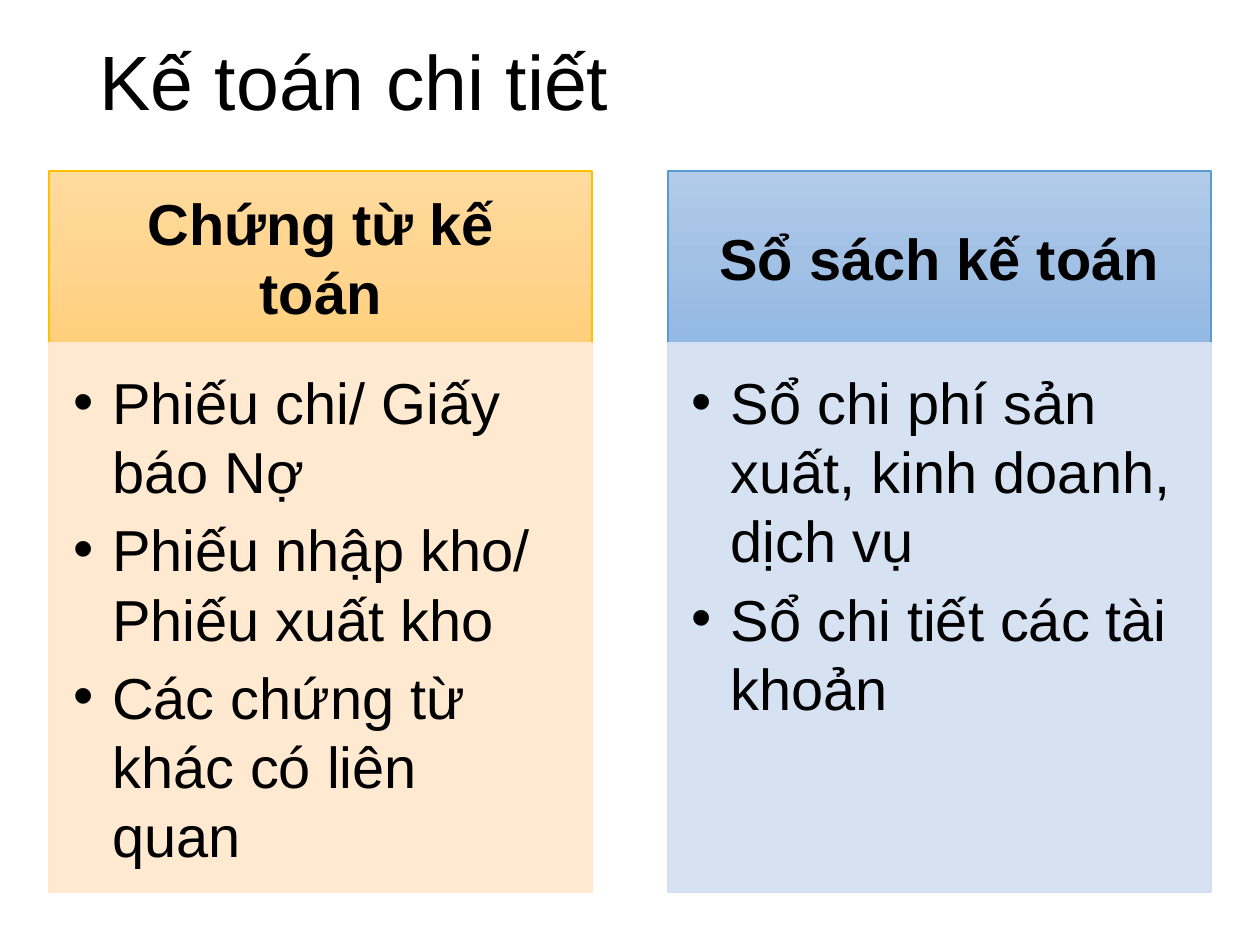
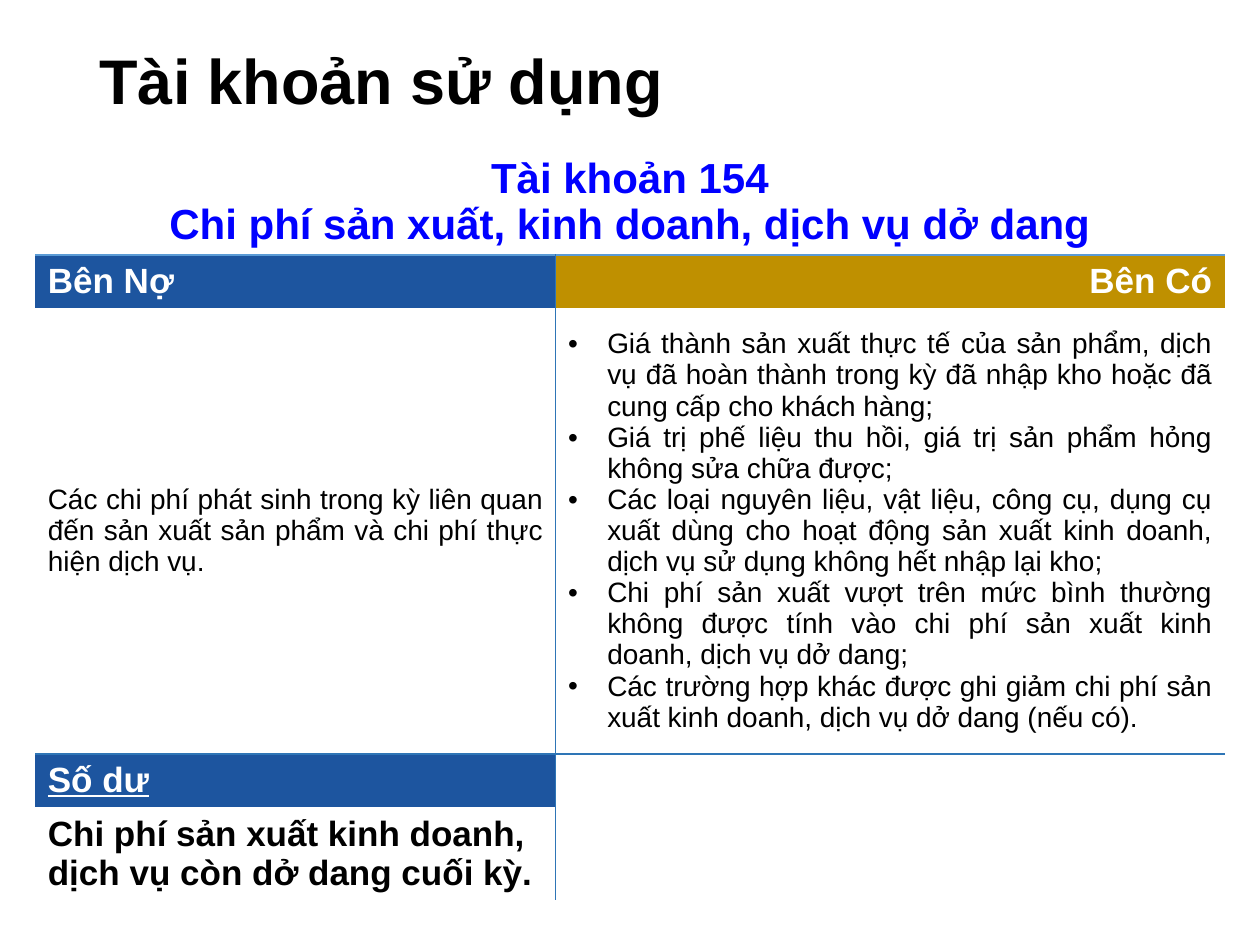
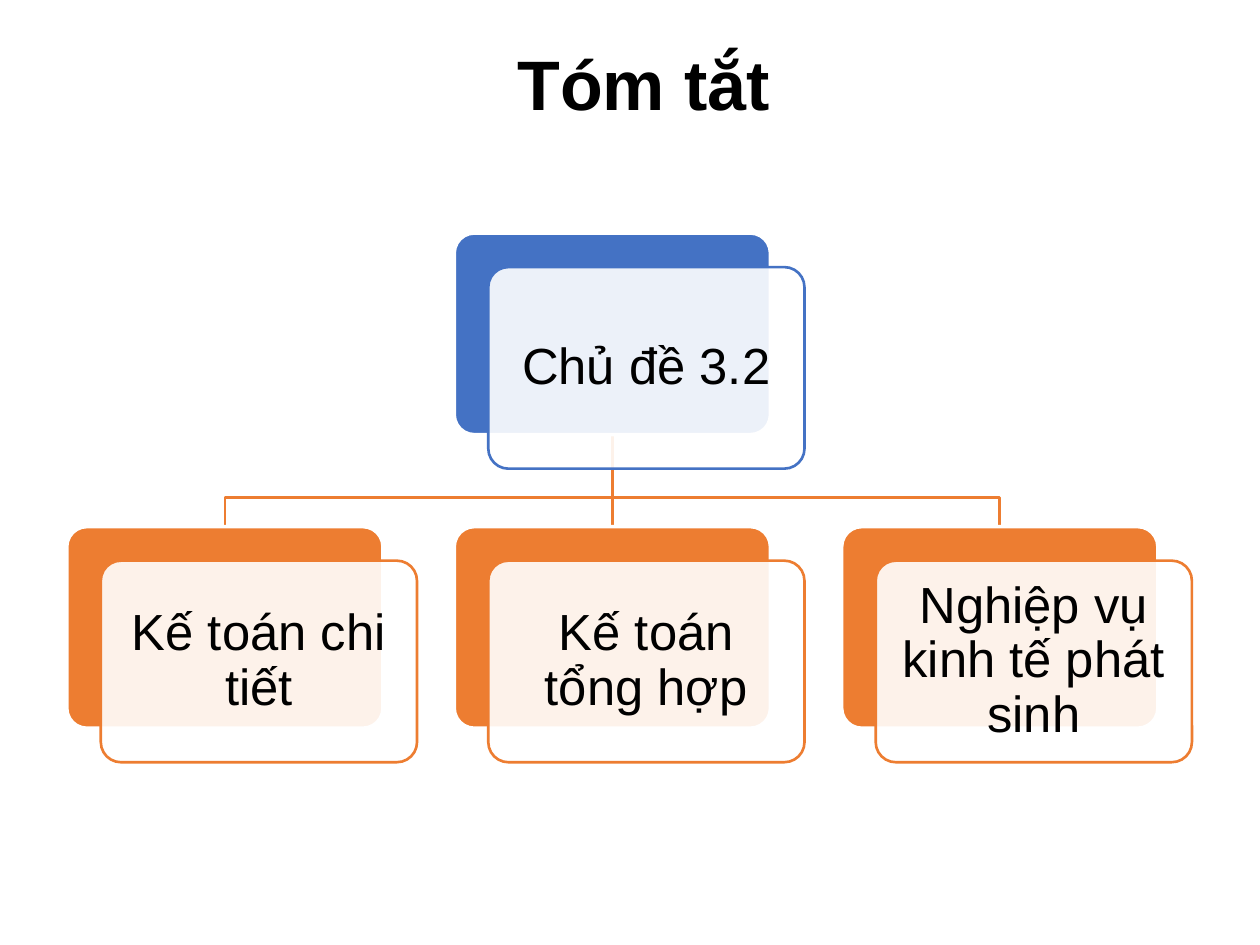
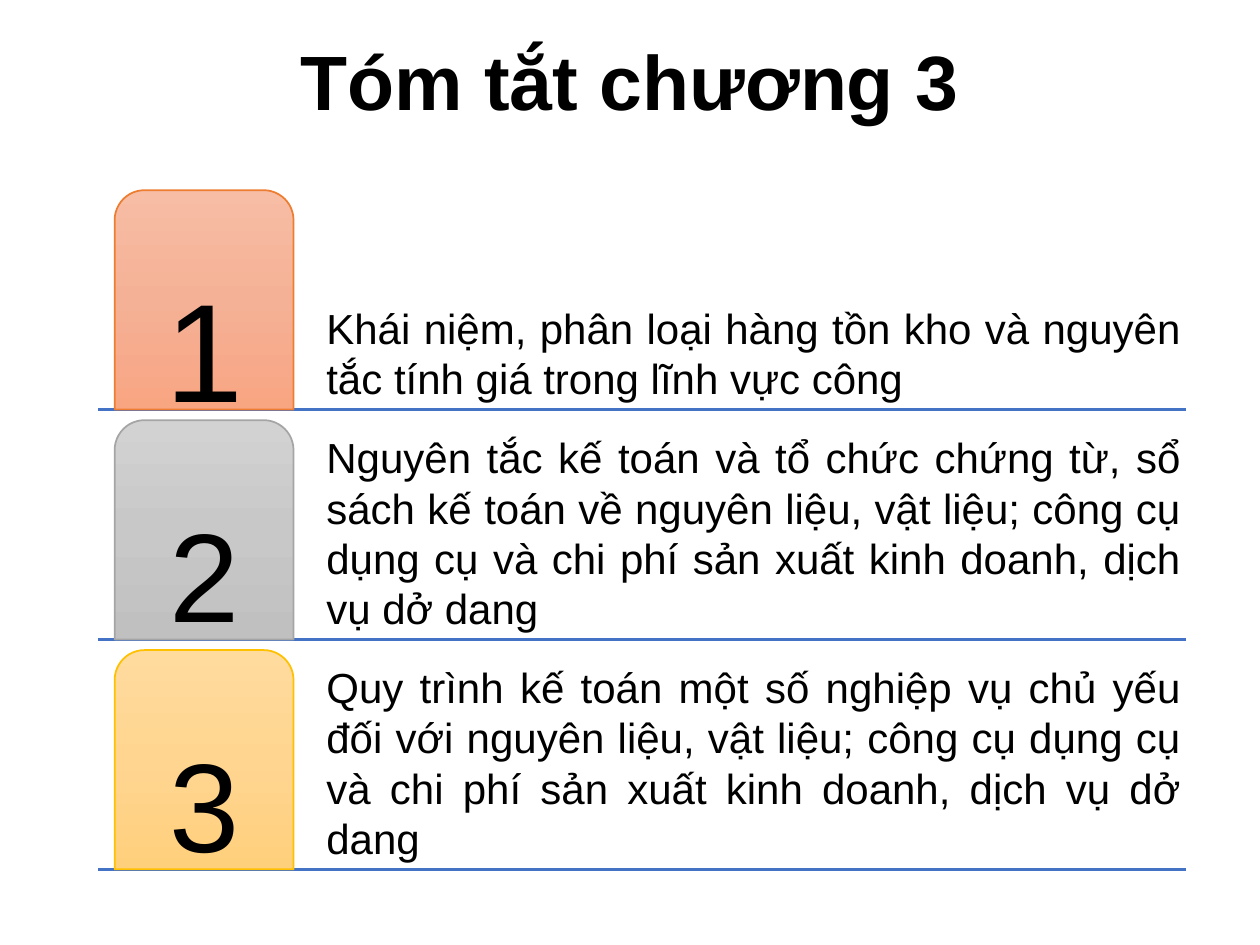
from copy import deepcopy

from pptx import Presentation
from pptx.dml.color import RGBColor
from pptx.enum.shapes import MSO_CONNECTOR as Line, MSO_SHAPE as Shape
from pptx.enum.text import MSO_ANCHOR as Anchor, MSO_AUTO_SIZE as AutoSize, PP_ALIGN as Align
from pptx.oxml.ns import qn
from pptx.oxml.xmlchemy import OxmlElement
from pptx.util import Inches, Pt

COLORS = {
    "black": "000000", "white": "FFFFFF", "blue": "4472C4", "orange": "ED7D31",
    "gray": "A5A5A5", "gold": "FFC000", "sky": "5B9BD5", "cream": "FFE8CC",
    "pale": "D2DFF0", "heading": "0000FF", "debit": "1D559F", "credit": "BF9000",
    "rule": "2E75B6",
}
GRADIENTS = {
    "gold": ["FFDB9E", "FFD590", "FFD07C"],
    "sky": ["B1CBE9", "A3C1E5", "93B9E4"],
    "orange": ["F7BDA5", "F5B196", "F8A582"],
    "gray": ["D2D2D2", "C8C8C8", "C0C0C0"],
}


def rgb(name):
    return RGBColor.from_string(COLORS[name])


def add_child(parent, tag, **attributes):
    child = OxmlElement(tag)
    for key, value in attributes.items():
        child.set(key, str(value))
    parent.append(child)
    return child


class Slides:
    font = "Arial"
    indent = 0.31

    def __init__(self):
        self.deck = Presentation()
        self.deck.slide_width, self.deck.slide_height = Inches(10), Inches(7.5)
        self.page = None

    def new_page(self, title, area=(0.69, 0.15, 8.62, 1.06), size=44, bold=True, align=Align.CENTER):
        self.page = self.deck.slides.add_slide(self.deck.slide_layouts[5])
        box = self.page.shapes.title
        box.left, box.top, box.width, box.height = map(Inches, area)
        self.set_text(box.text_frame, [title], size, bold=bold, align=align, spacing=0.9)

    def set_text(self, frame, lines, size, anchor=Anchor.MIDDLE, insets=None, **style):
        frame.word_wrap = True
        frame.auto_size = AutoSize.NONE
        frame.vertical_anchor = anchor
        if insets:
            (frame.margin_left, frame.margin_top,
             frame.margin_right, frame.margin_bottom) = map(Inches, insets)
        self.fill_paragraphs(frame, lines, size, **style)

    def fill_paragraphs(self, frame, lines, size, color="black", bold=False, underline=False,
                        align=Align.LEFT, spacing=None, after=0, bullets=False):
        frame.text = "\n".join(lines)
        for para in frame.paragraphs:
            para.alignment = align
            if spacing:
                para.line_spacing = spacing
            if after:
                para.space_after = Pt(after)
            if bullets:
                props = para._p.get_or_add_pPr()
                props.set("marL", str(Inches(self.indent)))
                props.set("indent", str(-Inches(self.indent)))
                add_child(props, "a:buFont", typeface=self.font)
                add_child(props, "a:buChar", char="•")
            font = para.font
            font.name, font.size, font.bold, font.underline = self.font, Pt(size), bold, underline
            font.color.rgb = rgb(color)

    def shape(self, kind, area, line, width, fill=None, gradient=None, opacity=None, corners=()):
        box = self.page.shapes.add_shape(kind, *map(Inches, area))
        box.shadow.inherit = False
        for index, value in enumerate(corners):
            box.adjustments[index] = value
        if gradient:
            box.fill.gradient()
            box.fill.gradient_angle = 270
            stops = box._element.spPr.find(qn("a:gradFill")).find(qn("a:gsLst"))
            stops.insert(1, deepcopy(stops[0]))
            for index, stop in enumerate(box.fill.gradient_stops):
                stop.position = index / 2
                stop.color.rgb = RGBColor.from_string(GRADIENTS[gradient][index])
        else:
            box.fill.solid()
            box.fill.fore_color.rgb = rgb(fill)
            if opacity:
                tint = box._element.spPr.find(qn("a:solidFill"))[0]
                add_child(tint, "a:alpha", val=opacity * 1000)
        box.line.color.rgb = rgb(line)
        box.line.width = Pt(width)
        return box

    def text(self, area, lines, size, **style):
        box = self.page.shapes.add_textbox(*map(Inches, area))
        self.set_text(box.text_frame, lines, size, **style)

    def line(self, start, end, color):
        line = self.page.shapes.add_connector(Line.STRAIGHT, *map(Inches, start + end))
        line.line.color.rgb = rgb(color)
        line.line.width = Pt(1.5)
        add_child(line._element.spPr, "a:effectLst")
        return line

    def bent_line(self, points, color):
        start, *rest = [tuple(map(Inches, point)) for point in points]
        builder = self.page.shapes.build_freeform(*start)
        builder.add_line_segments(rest, close=False)
        bend = builder.convert_to_shape()
        bend.shadow.inherit = False
        bend.fill.background()
        bend.line.color.rgb = rgb(color)
        bend.line.width = Pt(1.5)

    def column(self, left, heading, items, accent, fill):
        width, top, head, body = 4.31, 1.36, 1.36, 4.36
        box = self.shape(Shape.RECTANGLE, (left, top, width, head), accent, 1, gradient=accent)
        self.set_text(box.text_frame, [heading], 33, bold=True, align=Align.CENTER,
                      insets=(0.26, 0.15, 0.26, 0.15))
        box = self.shape(Shape.RECTANGLE, (left, top + head, width, body), fill, 1, fill, opacity=90)
        self.set_text(box.text_frame, items, 33, bullets=True, after=5, anchor=Anchor.TOP,
                      insets=(0.19, 0.19, 0.26, 0.29))

    def card(self, left, top, label, color):
        width, height, offset = 2.51, 1.6, 0.27
        back = self.shape(Shape.ROUNDED_RECTANGLE, (left, top, width, height), "white", 2, color,
                          corners=[0.1])
        front = self.shape(Shape.ROUNDED_RECTANGLE, (left + offset, top + offset, width, height),
                           color, 1.5, "white", opacity=90, corners=[0.1])
        self.set_text(front.text_frame, [label], 29, align=Align.CENTER, spacing=0.9,
                      insets=[0.12] * 4)
        return back

    def table(self, area, widths, heights):
        table = self.page.shapes.add_table(len(heights), len(widths), *map(Inches, area)).table
        table.first_row = table.horz_banding = False
        for column, width in zip(table.columns, widths):
            column.width = Inches(width)
        for row, height in zip(table.rows, heights):
            row.height = Inches(height)
        for cell in table.iter_cells():
            cell.fill.background()
        return table

    def cell(self, cell, lines, size, fill=None, **style):
        cell.vertical_anchor = Anchor.MIDDLE
        self.fill_paragraphs(cell.text_frame, lines, size, **style)
        if fill:
            cell.fill.solid()
            cell.fill.fore_color.rgb = rgb(fill)

    def borders(self, cell, sides):
        props = cell._tc.get_or_add_tcPr()
        for index, side in enumerate("LRTB"):
            edge = OxmlElement(f"a:ln{side}")
            if side in sides:
                edge.set("w", str(Pt(1)))
                add_child(add_child(edge, "a:solidFill"), "a:srgbClr", val=COLORS[sides[side]])
            else:
                add_child(edge, "a:noFill")
            props.insert(index, edge)


def detail_page(slides):
    slides.new_page("Kế toán chi tiết", bold=False, align=Align.LEFT)
    slides.column(0.39, "Chứng từ kế toán", [
        "Phiếu chi/ Giấy báo Nợ", "Phiếu nhập kho/ Phiếu xuất kho",
        "Các chứng từ khác có liên quan"], "gold", "cream")
    slides.column(5.3, "Sổ sách kế toán", [
        "Sổ chi phí sản xuất, kinh doanh, dịch vụ", "Sổ chi tiết các tài khoản"], "sky", "pale")


def account_page(slides):
    slides.new_page("Tài khoản sử dụng", (0.69, 0.25, 8.62, 0.83), 36, align=Align.LEFT)
    table = slides.table((0.28, 1.18, 9.44, 5.67), [4.13, 5.31], [0.55, 0.42, 3.54, 0.42, 0.74])
    table.cell(0, 0).merge(table.cell(0, 1))
    slides.cell(table.cell(0, 0), ["Tài khoản 154", "Chi phí sản xuất, kinh doanh, dịch vụ dở dang"], 24,
                color="heading", bold=True, align=Align.CENTER)
    slides.cell(table.cell(1, 0), ["Bên Nợ"], 20, "debit", color="white", bold=True)
    slides.cell(table.cell(1, 1), ["Bên Có"], 20, "credit", color="white", bold=True, align=Align.RIGHT)
    slides.cell(table.cell(2, 0), [
        "Các chi phí phát sinh trong kỳ liên quan đến sản xuất sản phẩm và chi phí thực hiện dịch vụ."],
        16, align=Align.JUSTIFY)
    slides.cell(table.cell(2, 1), [
        "Giá thành sản xuất thực tế của sản phẩm, dịch vụ đã hoàn thành trong kỳ đã nhập kho "
        "hoặc đã cung cấp cho khách hàng;",
        "Giá trị phế liệu thu hồi, giá trị sản phẩm hỏng không sửa chữa được;",
        "Các loại nguyên liệu, vật liệu, công cụ, dụng cụ xuất dùng cho hoạt động sản xuất "
        "kinh doanh, dịch vụ sử dụng không hết nhập lại kho;",
        "Chi phí sản xuất vượt trên mức bình thường không được tính vào chi phí sản xuất "
        "kinh doanh, dịch vụ dở dang;",
        "Các trường hợp khác được ghi giảm chi phí sản xuất kinh doanh, dịch vụ dở dang (nếu có).",
    ], 16, align=Align.JUSTIFY, bullets=True)
    slides.cell(table.cell(3, 0), ["Số dư"], 20, "debit", color="white", bold=True, underline=True)
    slides.cell(table.cell(4, 0), ["Chi phí sản xuất kinh doanh, dịch vụ còn dở dang cuối kỳ."], 20,
                bold=True)
    row_sides = [{"B": "sky"}, {"T": "sky"}, {"B": "rule"}, {"T": "rule"}, {}]
    for row, sides in enumerate(row_sides):
        for column, inner in enumerate("RL"):
            divider = {inner: "rule"} if row else {}
            slides.borders(table.cell(row, column), sides | divider)


def topic_page(slides):
    slides.new_page("Tóm tắt", (0.91, 0.21, 8.4, 0.97), 40)
    lefts = [0.53 + 6.15 * index / 2 for index in range(3)]
    centers = [left + 2.51 / 2 for left in lefts]
    middle, start, bend, end = centers[1], 3.45, 3.95, 4.18
    for center in (centers[2], centers[0]):
        slides.bent_line([(middle, start), (middle, bend), (center, bend), (center, end)], "orange")
    stem = slides.line((middle, start), (middle, end), "orange")
    root = slides.card(lefts[1], 1.85, "Chủ đề 3.2", "blue")
    labels = ["Kế toán chi tiết", "Kế toán tổng hợp", "Nghiệp vụ kinh tế phát sinh"]
    branches = [slides.card(left, end, label, "orange") for left, label in zip(lefts, labels)]
    stem.begin_connect(root, 2)
    stem.end_connect(branches[1], 0)


def chapter_page(slides):
    slides.new_page("Tóm tắt chương 3")
    height = 1.74
    points = [
        ("Khái niệm, phân loại hàng tồn kho và nguyên tắc tính giá trong lĩnh vực công",
         "orange", 80, 0.17),
        ("Nguyên tắc kế toán và tổ chức chứng từ, sổ sách kế toán về nguyên liệu, vật liệu; "
         "công cụ dụng cụ và chi phí sản xuất kinh doanh, dịch vụ dở dang", "gray", 72, 0.15),
        ("Quy trình kế toán một số nghiệp vụ chủ yếu đối với nguyên liệu, vật liệu; "
         "công cụ dụng cụ và chi phí sản xuất kinh doanh, dịch vụ dở dang", "gold", 72, 0.15),
    ]
    tops = [1.51 + 3.65 * index / 2 for index in range(3)]
    for top in reversed(tops):
        slides.line((0.78, top + height), (9.41, top + height), "blue")
    for number, (top, (label, color, size, inset)) in enumerate(zip(tops, points), 1):
        slides.text((2.54, top, 6.88, height), [label], 24, align=Align.JUSTIFY,
                    anchor=Anchor.BOTTOM, insets=[0.05] * 4)
        tab = slides.shape(Shape.ROUND_2_SAME_RECTANGLE, (0.91, top, 1.42, height), color, 1,
                           gradient=color, corners=[0.167, 0])
        slides.set_text(tab.text_frame, [str(number)], size, align=Align.CENTER, spacing=1.5,
                        insets=[inset] * 4)


def main():
    slides = Slides()
    for build in (detail_page, account_page, topic_page, chapter_page):
        build(slides)
    slides.deck.save("out.pptx")


if __name__ == "__main__":
    main()
